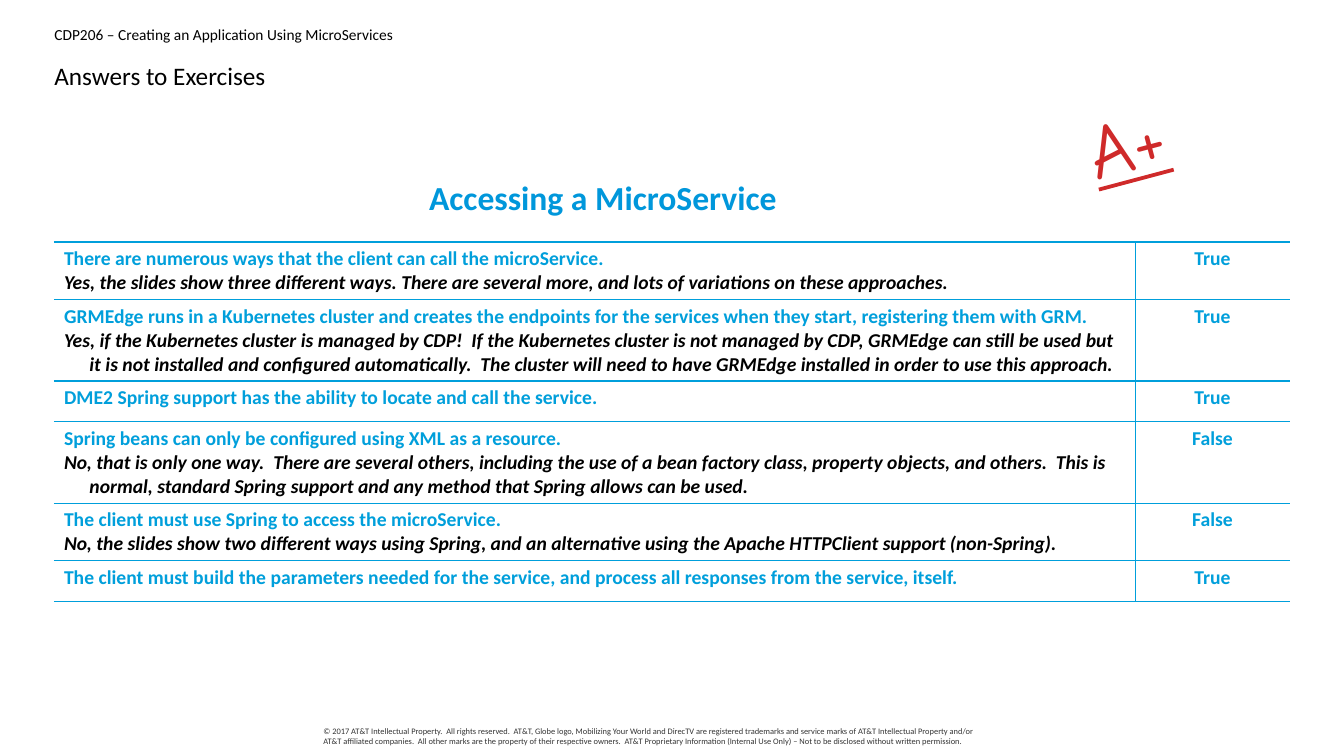
from dataclasses import dataclass

from lxml.etree import SubElement
from pptx import Presentation
from pptx.dml.color import RGBColor
from pptx.enum.text import MSO_AUTO_SIZE as AutoSize, PP_ALIGN as Align
from pptx.oxml.ns import qn
from pptx.util import Cm, Pt


@dataclass(frozen=True)
class Theme:
    font: str = "Calibri"
    hand_font: str = "Comic Neue"
    black: str = "000000"
    gray: str = "343434"
    cyan: str = "009FDB"
    blue: str = "0097DB"
    red: str = "CF2A2A"
    legal_size: int = 6
    course_size: int = 11
    body_size: int = 14
    title_size: int = 18
    heading_size: int = 24
    grade_size: int = 54


COPYRIGHT = (
    "© 2017 AT&T Intellectual Property.  All rights reserved.  AT&T, Globe logo, "
    "Mobilizing Your World and DirecTV are registered trademarks and service marks of "
    "AT&T Intellectual Property and/or AT&T affiliated companies.  All other marks are "
    "the property of their respective owners.  AT&T Proprietary Information (Internal "
    "Use Only) – Not to be disclosed without written permission."
)

EXERCISES = [
    ("There are numerous ways that the client can call the microService.",
     "Yes, the slides show three different ways. There are several more, and lots of "
     "variations on these approaches.", "True", 2),
    ("GRMEdge runs in a Kubernetes cluster and creates the endpoints for the services "
     "when they start, registering them with GRM.",
     "Yes, if the Kubernetes cluster is managed by CDP!  If the Kubernetes cluster is "
     "not managed by CDP, GRMEdge can still be used but it is not installed and "
     "configured automatically.  The cluster will need to have GRMEdge installed in "
     "order to use this approach.", "True", 3),
    ("DME2 Spring support has the ability to locate and call the service.",
     None, "True", 1),
    ("Spring beans can only be configured using XML as a resource.",
     "No, that is only one way.  There are several others, including the use of a bean "
     "factory class, property objects, and others.  This is normal, standard Spring "
     "support and any method that Spring allows can be used.", "False", 3),
    ("The client must use Spring to access the microService.",
     "No, the slides show two different ways using Spring, and an alternative using "
     "the Apache HTTPClient support (non-Spring).", "False", 2),
    ("The client must build the parameters needed for the service, and process all "
     "responses from the service, itself.", None, "True", 1),
]


class SlideBuilder:
    def __init__(self, page, theme):
        self.page = page
        self.theme = theme

    def style(self, para, size, color, bold=False, italic=False, font=None):
        para.font.name = font or self.theme.font
        para.font.size = Pt(size)
        para.font.bold = bold
        para.font.italic = italic
        para.font.color.rgb = RGBColor.from_string(color)

    def text(self, words, place, size, color, **look):
        box = self.page.shapes.add_textbox(*map(Cm, place))
        frame = box.text_frame
        frame.word_wrap = True
        frame.margin_left = frame.margin_right = 0
        frame.margin_top = frame.margin_bottom = 0
        para = frame.paragraphs[0]
        para.text = words
        self.style(para, size, color, **look)
        return box

    def title(self, words, place):
        box = self.text(words, place, self.theme.title_size, self.theme.black)
        para = box.text_frame.paragraphs[0]
        para.line_spacing = 1.1
        para.space_after = Pt(10)

    def heading(self, words, place):
        box = self.text(words, place, self.theme.heading_size, self.theme.blue, bold=True)
        frame = box.text_frame
        frame.word_wrap = False
        frame.auto_size = AutoSize.SHAPE_TO_FIT_TEXT
        frame.margin_left = frame.margin_right = Cm(0.25)
        frame.margin_top = frame.margin_bottom = Cm(0.13)
        frame.paragraphs[0].alignment = Align.CENTER

    def grade(self, words, place, angle):
        box = self.text(words, place, self.theme.grade_size, self.theme.red,
                        font=self.theme.hand_font)
        box.rotation = angle
        box.text_frame.paragraphs[0].font.underline = True

    def borders(self, cell, visible):
        properties = cell._tc.get_or_add_tcPr()
        for side in ("L", "R", "T", "B"):
            line = SubElement(properties, qn(f"a:ln{side}"), w=str(Pt(1)))
            if side in visible:
                fill = SubElement(line, qn("a:solidFill"))
                SubElement(fill, qn("a:srgbClr"), val=self.theme.cyan)
            else:
                SubElement(line, qn("a:noFill"))
        cell.fill.background()

    def cell_text(self, para, words, color, italic=False):
        para.text = words
        self.style(para, self.theme.body_size, color, bold=True, italic=italic)

    def answers(self, exercises, left, top, widths):
        heights = [max(1.03, 0.25 + 0.6 * lines) for *_, lines in exercises]
        frame = self.page.shapes.add_table(
            len(exercises), len(widths), Cm(left), Cm(top), Cm(sum(widths)), Cm(sum(heights)))
        table = frame.table
        table.first_row = table.horz_banding = False
        for column, width in zip(table.columns, widths):
            column.width = Cm(width)
        for row, height, exercise in zip(table.rows, heights, exercises):
            row.height = Cm(height)
            statement, reason, verdict, _ = exercise
            question, result = row.cells
            self.borders(question, "RTB")
            self.borders(result, "LTB")
            self.cell_text(question.text_frame.paragraphs[0], statement, self.theme.cyan)
            if reason:
                para = question.text_frame.add_paragraph()
                indents = para._p.get_or_add_pPr()
                indents.set("marL", str(Cm(0.64)))
                indents.set("indent", str(-Cm(0.64)))
                self.cell_text(para, reason, self.theme.black, italic=True)
            para = result.text_frame.paragraphs[0]
            para.alignment = Align.CENTER
            self.cell_text(para, verdict, self.theme.cyan)


def main():
    theme = Theme()
    deck = Presentation()
    deck.slide_width, deck.slide_height = Cm(33.87), Cm(19.05)
    slide = SlideBuilder(deck.slides.add_slide(deck.slide_layouts[6]), theme)
    slide.text("CDP206 – Creating an Application Using MicroServices",
               (1.37, 0.64, 31.14, 0.51), theme.course_size, theme.black)
    slide.text(COPYRIGHT, (8.15, 18.29, 16.87, 0.53), theme.legal_size, theme.gray)
    slide.title("Answers to Exercises", (1.37, 1.45, 31.14, 0.94))
    slide.answers(EXERCISES, 1.36, 6.1, (27.25, 3.89))
    slide.heading("Accessing a MicroService", (10.52, 4.34, 9.35, 1.27))
    slide.grade("A+", (27.38, 2.26, 3.2, 2.26), 345.1)
    deck.save("out.pptx")


if __name__ == "__main__":
    main()
